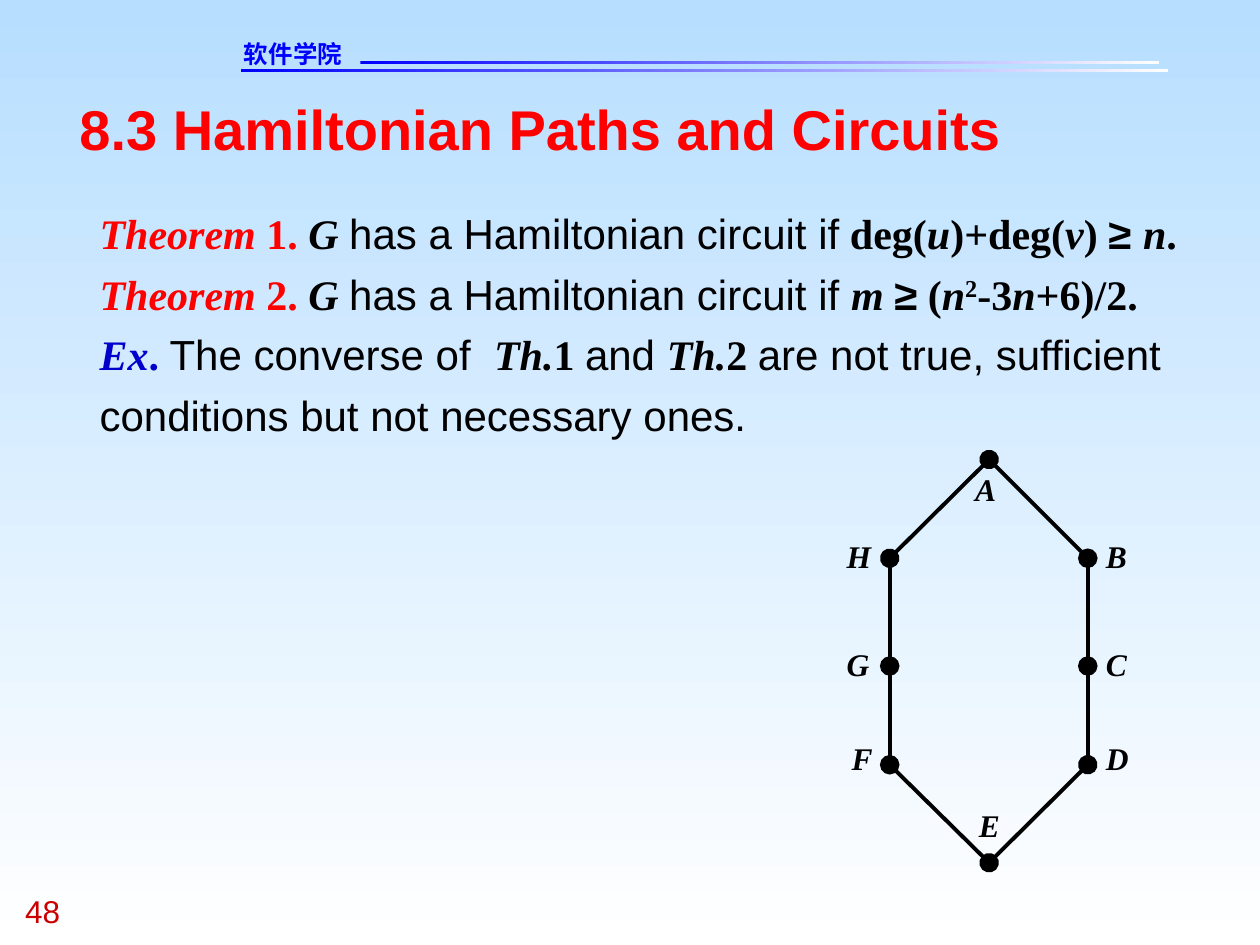
from itertools import pairwise

from lxml.etree import SubElement
from pptx import Presentation
from pptx.dml.color import RGBColor
from pptx.enum.shapes import MSO_CONNECTOR, MSO_SHAPE
from pptx.enum.text import MSO_ANCHOR, MSO_AUTO_SIZE, PP_ALIGN
from pptx.oxml.ns import qn
from pptx.util import Pt

SERIF, SANS = "Times New Roman", "Arial"
THEME = {
    "sky": "B7DEFF", "white": "FFFFFF", "bar": "0000FF", "line": "000000",
    # style: font, size, colour, bold, italic
    "title": (SANS, 32, "FF0000", True, False),
    "header": ("DejaVu Sans", 14, "0000FF", True, False),
    "number": (SANS, 18, "CC0000", False, False),
    "vertex": (SERIF, 18, "000000", True, True),
    "theorem": (SERIF, 24, "FF0000", True, True),
    "theorem no": (SERIF, 24, "FF0000", True, False),
    "example": (SERIF, 24, "0000CC", True, True),
    "example dot": (SERIF, 24, "0000CC", True, False),
    "plain": (SANS, 24, "000000", False, False),
    "sign": (SANS, 24, "000000", True, False),
    "var": (SERIF, 24, "000000", True, True),
    "math": (SERIF, 24, "000000", True, False),
    "power": (SERIF, 24, "000000", True, False),
}

TITLE = "8.3 Hamiltonian Paths and Circuits"
HEADER = "软件学院"
PAGE = "48"
BODY = [
    [("Theorem ", "theorem"), ("1. ", "theorem no"), ("G ", "var"),
     ("has a Hamiltonian circuit if", "plain"), (" deg(", "math"), ("u", "var"),
     (")+deg(", "math"), ("v", "var"), (") ", "math"), ("≥ ", "sign"),
     ("n", "var"), (".", "math")],
    [("Theorem ", "theorem"), ("2. ", "theorem no"), ("G ", "var"),
     ("has a Hamiltonian circuit if ", "plain"), ("m ", "var"), ("≥", "sign"),
     (" (", "math"), ("n", "var"), ("2", "power"), ("-3", "math"), ("n", "var"),
     ("+6)/2.", "math")],
    [("Ex", "example"), (". ", "example dot"), ("The converse of  ", "plain"),
     ("Th.", "var"), ("1 ", "math"), ("and ", "plain"), ("Th.", "var"),
     ("2 ", "math"),
     ("are not true, sufficient conditions but not necessary ones.", "plain")],
]
LEFT, MIDDLE, RIGHT = 508.4, 565.2, 621.6
# vertex name, centre, left and top of its label
CYCLE = [
    ("A", (MIDDLE, 262.6), (557.3, 268.6)),
    ("B", (RIGHT, 319), (632, 306.7)),
    ("C", (RIGHT, 380.6), (632, 368.6)),
    ("D", (RIGHT, 437), (632, 422.6)),
    ("E", (MIDDLE, 493), (559.4, 460.8)),
    ("F", (LEFT, 437), (486.7, 422.6)),
    ("G", (LEFT, 380.6), (483.8, 368.6)),
    ("H", (LEFT, 319), (483.8, 306.7)),
]
BARS = [(137.5, 39.4, 530, 1.7), (205.9, 34.8, 456.2, 1.7)]


def style_run(r, style):
    name, size, color, bold, italic = THEME[style]
    font = r.font
    font.name, font.size, font.bold, font.italic = name, Pt(size), bold, italic
    font.color.rgb = RGBColor.from_string(color)
    if style == "power":
        r._r.get_or_add_rPr().set("baseline", "30000")
    if style == "header":
        SubElement(r._r.get_or_add_rPr(), qn("a:ea")).set("typeface", name)


def setup_frame(tf, wrap=True):
    tf.margin_left = tf.margin_top = tf.margin_right = tf.margin_bottom = 0
    tf.auto_size = MSO_AUTO_SIZE.NONE
    tf.vertical_anchor = MSO_ANCHOR.TOP
    tf.word_wrap = wrap


def place(sp, left, top, width, height):
    sp.left, sp.top, sp.width, sp.height = map(Pt, (left, top, width, height))


def add_label(shapes, text, style, box, wrap=False):
    tf = shapes.add_textbox(*map(Pt, box)).text_frame
    setup_frame(tf, wrap)
    tf.text = text
    style_run(tf.paragraphs[0].runs[0], style)


def fill_gradient(fill, start, end, angle):
    fill.gradient()
    fill.gradient_angle = angle
    for stop, color in zip(fill.gradient_stops, (start, end)):
        stop.color.rgb = RGBColor.from_string(THEME[color])


def add_header(s):
    for box in BARS:
        sp = s.shapes.add_shape(MSO_SHAPE.RECTANGLE, *map(Pt, box))
        sp.shadow.inherit = False
        sp.line.fill.background()
        fill_gradient(sp.fill, "bar", "white", 0)
    add_label(s.shapes, HEADER, "header", (139.4, 22.3, 104.4, 16.6), True)
    add_label(s.shapes, PAGE, "number", (14.4, 509.8, 54, 21.6), True)


def add_title(sp):
    place(sp, 45.4, 54, 630, 38.2)
    tf = sp.text_frame
    setup_frame(tf)
    tf.text = TITLE
    p = tf.paragraphs[0]
    p.alignment = PP_ALIGN.LEFT
    style_run(p.runs[0], "title")


def add_body(sp):
    place(sp, 56.9, 113, 650, 138.2)
    tf = sp.text_frame
    setup_frame(tf)
    for i, runs in enumerate(BODY):
        p = tf.paragraphs[0] if i == 0 else tf.add_paragraph()
        p.line_spacing, p.space_before = 1.2, Pt(0)
        pPr = p._p.get_or_add_pPr()
        pPr.set("marL", "0")
        pPr.set("indent", "0")
        SubElement(pPr, qn("a:buNone"))
        for text, style in runs:
            r = p.add_run()
            r.text = text
            style_run(r, style)


def add_edge(shapes, start, end):
    """Draw one edge, with the vertex dot at its start."""
    cn = shapes.add_connector(MSO_CONNECTOR.STRAIGHT, *map(Pt, start + end))
    cn.line.width = Pt(2.25)
    cn.line.color.rgb = RGBColor.from_string(THEME["line"])
    dot = SubElement(cn.line._get_or_add_ln(), qn("a:headEnd"))
    for key, value in (("type", "oval"), ("w", "lg"), ("len", "lg")):
        dot.set(key, value)
    SubElement(cn._element.spPr, qn("a:effectLst"))


def add_graph(s):
    shapes = s.shapes.add_group_shape().shapes
    for (_, start, _), (_, end, _) in pairwise(CYCLE + CYCLE[:1]):
        add_edge(shapes, start, end)
    for name, _, corner in CYCLE:
        add_label(shapes, name, "vertex", corner + (14, 21.6))


def main():
    prs = Presentation()
    prs.slide_width, prs.slide_height = Pt(720), Pt(540)
    s = prs.slides.add_slide(prs.slide_layouts[1])
    fill_gradient(s.background.fill, "sky", "white", 270)
    add_header(s)
    add_title(s.shapes.title)
    add_body(s.placeholders[1])
    add_graph(s)
    prs.save("out.pptx")


if __name__ == "__main__":
    main()
